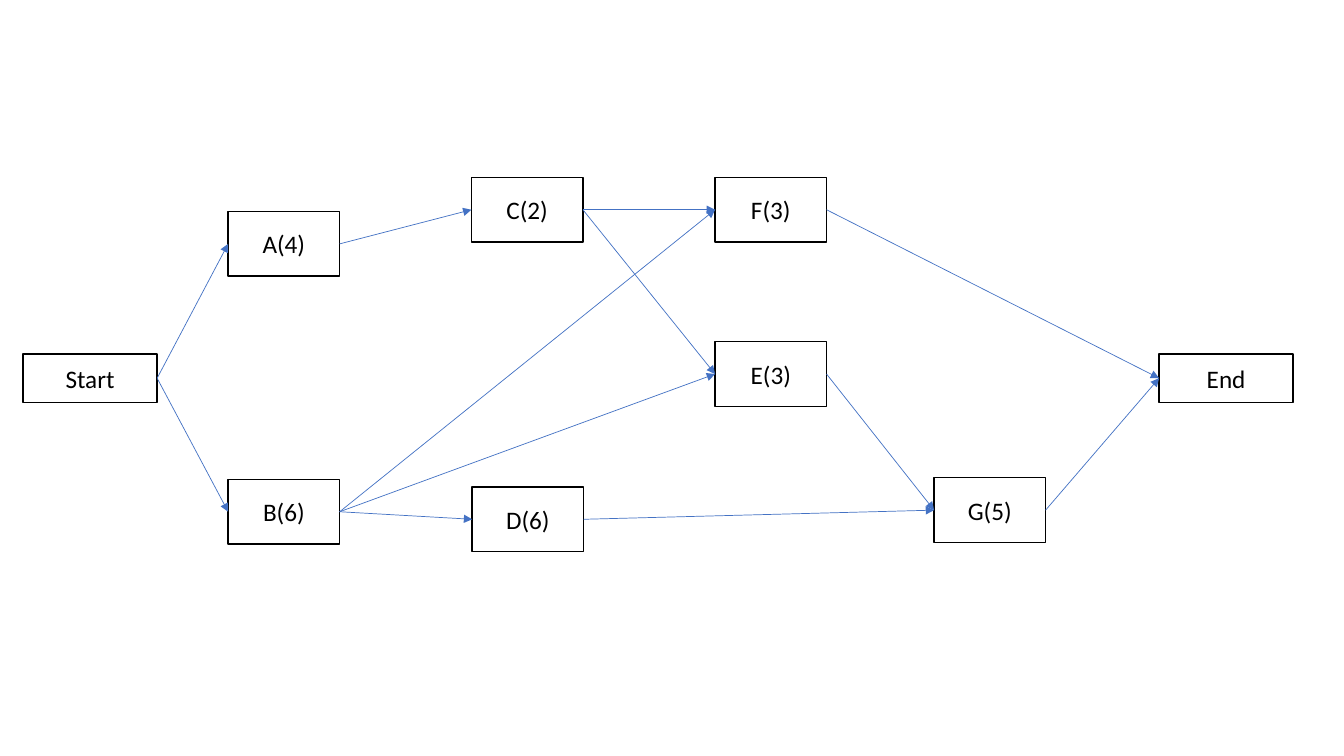
from lxml.etree import SubElement
from pptx import Presentation
from pptx.dml.color import RGBColor
from pptx.enum.shapes import MSO_CONNECTOR, MSO_SHAPE
from pptx.enum.text import MSO_ANCHOR, PP_ALIGN
from pptx.oxml.ns import qn
from pptx.util import Cm, Pt

BLACK = RGBColor(0x00, 0x00, 0x00)
BLUE = RGBColor(0x44, 0x72, 0xC4)

LEFT_SITE, RIGHT_SITE = 1, 3
TERMINAL_SIZE = (3.38, 1.22)
TASK_SIZE = (2.81, 1.63)

# Label: left, top and size in centimetres
ACTIVITIES = {
    "Start": (0.58, 8.92, TERMINAL_SIZE),
    "A(4)": (5.75, 5.33, TASK_SIZE),
    "B(6)": (5.75, 12.08, TASK_SIZE),
    "C(2)": (11.88, 4.47, TASK_SIZE),
    "D(6)": (11.9, 12.27, TASK_SIZE),
    "E(3)": (18.02, 8.61, TASK_SIZE),
    "F(3)": (18.02, 4.47, TASK_SIZE),
    "G(5)": (23.54, 12.04, TASK_SIZE),
    "End": (29.21, 8.92, TERMINAL_SIZE),
}

SUCCESSORS = {
    "Start": ("A(4)", "B(6)"),
    "A(4)": ("C(2)",),
    "B(6)": ("D(6)", "E(3)", "F(3)"),
    "C(2)": ("E(3)", "F(3)"),
    "D(6)": ("G(5)",),
    "E(3)": ("G(5)",),
    "F(3)": ("End",),
    "G(5)": ("End",),
}


class NetworkSlide:
    """Draws activities and their dependencies on one slide."""

    label_format = {"name": "Calibri", "size": Pt(18)}
    frame_format = {"word_wrap": True, "vertical_anchor": MSO_ANCHOR.MIDDLE}

    def __init__(self, slide):
        self.shapes = slide.shapes

    def activity(self, label, left, top, size):
        box = self.shapes.add_shape(
            MSO_SHAPE.RECTANGLE, Cm(left), Cm(top), *map(Cm, size))
        box.shadow.inherit = False
        box.fill.background()
        box.line.color.rgb = BLACK
        box.line.width = Pt(1)
        for attribute, value in self.frame_format.items():
            setattr(box.text_frame, attribute, value)
        paragraph = box.text_frame.paragraphs[0]
        paragraph.text = label
        paragraph.alignment = PP_ALIGN.CENTER
        for attribute, value in self.label_format.items():
            setattr(paragraph.font, attribute, value)
        paragraph.font.color.rgb = BLACK
        return box

    def dependency(self, earlier, later):
        arrow = self.shapes.add_connector(MSO_CONNECTOR.STRAIGHT, 0, 0, 0, 0)
        arrow.begin_connect(earlier, RIGHT_SITE)
        arrow.end_connect(later, LEFT_SITE)
        arrow.line.color.rgb = BLUE
        arrow.line.width = Pt(0.5)
        properties = arrow.element.spPr
        SubElement(properties.find(qn("a:ln")), qn("a:tailEnd"), type="triangle")
        SubElement(properties, qn("a:effectLst"))


def main():
    presentation = Presentation()
    presentation.slide_width = Cm(33.87)
    presentation.slide_height = Cm(19.05)
    blank_layout = presentation.slide_layouts[6]
    network = NetworkSlide(presentation.slides.add_slide(blank_layout))

    boxes = {label: network.activity(label, *place)
             for label, place in ACTIVITIES.items()}
    for earlier, followers in SUCCESSORS.items():
        for later in followers:
            network.dependency(boxes[earlier], boxes[later])

    presentation.save("out.pptx")


if __name__ == "__main__":
    main()
